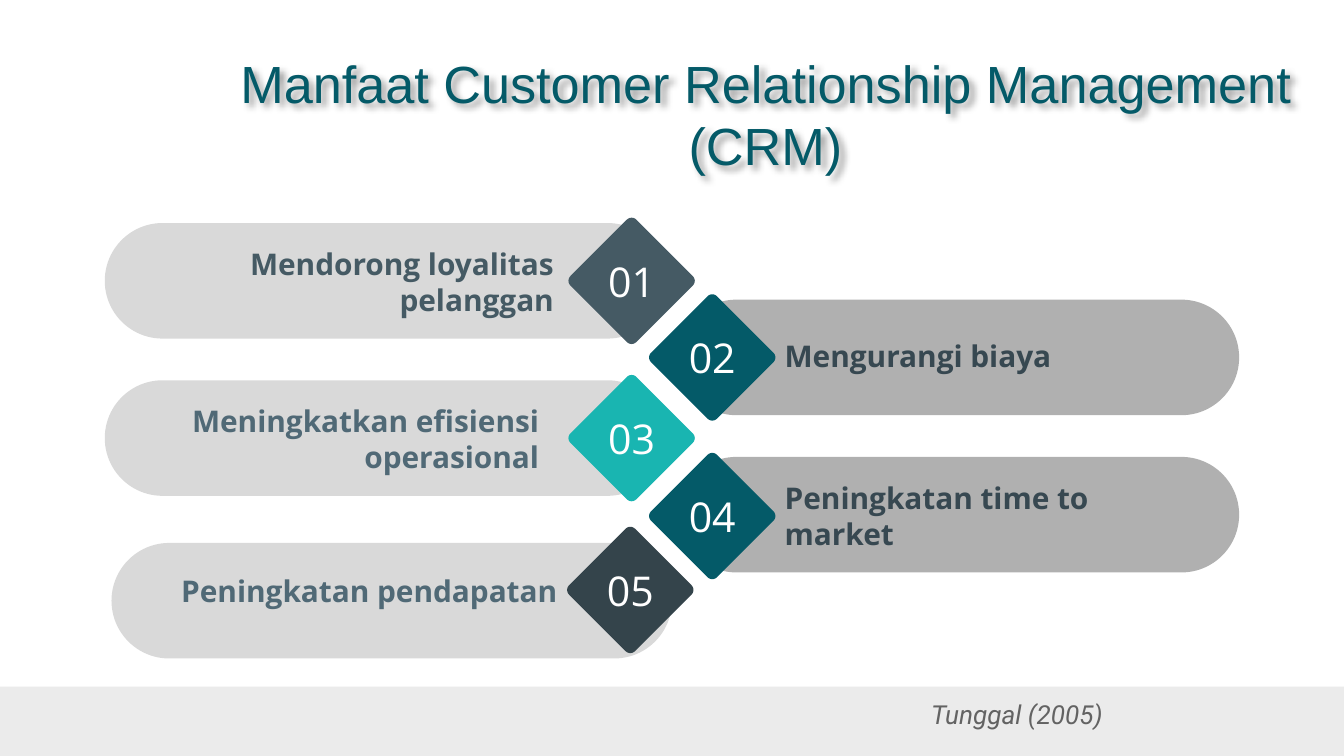
from math import cos, radians, sin

from lxml import etree
from pptx import Presentation
from pptx.dml.color import RGBColor
from pptx.enum.shapes import MSO_SHAPE
from pptx.enum.text import MSO_ANCHOR, MSO_AUTO_SIZE, PP_ALIGN
from pptx.oxml.ns import qn
from pptx.util import Inches, Pt

LEFT, CENTER, RIGHT = PP_ALIGN.LEFT, PP_ALIGN.CENTER, PP_ALIGN.RIGHT
MIDDLE, TOP = MSO_ANCHOR.MIDDLE, MSO_ANCHOR.TOP
NO_AUTOFIT = MSO_AUTO_SIZE.NONE
RECTANGLE, ROUNDED = MSO_SHAPE.RECTANGLE, MSO_SHAPE.ROUNDED_RECTANGLE

TITLE_FORMAT = {"name": "Arial", "size": Pt(28), "bold": False}
LABEL_FORMAT = {"name": "Open Sans", "size": Pt(16), "bold": True}
NUMBER_FORMAT = {"name": "Open Sans", "size": Pt(22), "bold": False}
SOURCE_FORMAT = {"name": "Roboto", "size": Pt(14), "italic": True}

BAR_SIZE = (4.17, 0.86)
LABEL_SIZE = (3.32, 0.27)
CORNER_DISTANCE, CORNER_RADIUS = 0.42, 0.05

BARS = [
    (0.83, 4.04, "D9D9D9"),
    (5.05, 2.23, "B0B0B0"),
    (5.05, 3.4, "B0B0B0"),
    (0.78, 2.83, "D9D9D9"),
    (0.78, 1.66, "D9D9D9"),
]
DIAMONDS = [
    (4.7, 2.09, "455A64"),
    (5.3, 2.66, "045A68"),
    (4.7, 3.26, "19B5B1"),
    (5.3, 3.84, "045A68"),
    (4.69, 4.39, "34444B"),
]
LABELS = [
    (0.9, 1.96, "Mendorong loyalitas pelanggan", RIGHT, "455A64"),
    (5.74, 2.51, "Mengurangi biaya", LEFT, "374851"),
    (0.79, 3.13, "Meningkatkan efisiensi operasional", RIGHT, "506976"),
    (5.74, 3.7, "Peningkatan time to market", LEFT, "374851"),
    (1.25, 4.26, "Peningkatan pendapatan", LEFT, "506976"),
]


def color(value):
    """Return the colour for a hex string."""
    return RGBColor.from_string(value)


def paint(shape, fill):
    """Give a shape a flat fill without line or shadow."""
    shape.shadow.inherit = False
    shape.fill.solid()
    shape.fill.fore_color.rgb = color(fill)
    shape.line.fill.background()


def write(shape, text, font_format, font_color, align, anchor=MIDDLE, margin=0.1):
    """Write one formatted paragraph into a shape."""
    frame = shape.text_frame
    frame_format = {"word_wrap": True, "auto_size": NO_AUTOFIT, "vertical_anchor": anchor}
    frame_format.update({"margin_left": Inches(0.1), "margin_right": Inches(0.1)})
    frame_format.update({"margin_top": Inches(margin), "margin_bottom": Inches(margin)})
    for name, value in frame_format.items():
        setattr(frame, name, value)
    paragraph = frame.paragraphs[0]
    paragraph.alignment = align
    run = paragraph.add_run()
    run.text = text
    for name, value in font_format.items():
        setattr(run.font, name, value)
    run.font.color.rgb = color(font_color)


def add_title(slide, text):
    """Place the title and give it a soft shadow."""
    title = slide.shapes.title
    title.left, title.top, title.width, title.height = map(Inches, (1.39, 0.53, 8.61, 0.63))
    write(title, text, TITLE_FORMAT, "045A68", CENTER)
    effects = etree.SubElement(title.element.spPr, qn("a:effectLst"))
    shadow = etree.SubElement(
        effects, qn("a:outerShdw"), blurRad=str(Pt(4)), dist=str(Pt(3)), dir="2700000", algn="tl"
    )
    black = etree.SubElement(shadow, qn("a:srgbClr"), val="000000")
    etree.SubElement(black, qn("a:alpha"), val="40000")


def add_block(slide, kind, left, top, width, height, fill):
    """Add a flat preset shape."""
    shape = slide.shapes.add_shape(kind, *map(Inches, (left, top, width, height)))
    paint(shape, fill)
    return shape


def add_bar(slide, left, top, fill):
    """Add a bar with fully rounded ends."""
    bar = add_block(slide, ROUNDED, left, top, *BAR_SIZE, fill)
    bar.adjustments[0] = 0.5


def add_diamond(slide, center_x, center_y, fill, number):
    """Add a numbered diamond with rounded corners."""
    points = []
    for corner in range(0, 360, 90):
        for angle in range(corner - 45, corner + 46, 15):
            x, y = (
                CORNER_DISTANCE * wave(radians(corner)) + CORNER_RADIUS * wave(radians(angle))
                for wave in (cos, sin)
            )
            points.append((Inches(center_x + x), Inches(center_y + y)))
    builder = slide.shapes.build_freeform(*points[0])
    builder.add_line_segments(points[1:], close=True)
    diamond = builder.convert_to_shape()
    paint(diamond, fill)
    write(diamond, f"{number:02d}", NUMBER_FORMAT, "FFFFFF", CENTER)


def add_label(slide, left, top, text, align, font_color):
    """Add the label of one benefit."""
    label = slide.shapes.add_textbox(*map(Inches, (left, top, *LABEL_SIZE)))
    write(label, text, LABEL_FORMAT, font_color, align)


def add_source(slide, text):
    """Add the source line over the footer band."""
    source = slide.shapes.add_textbox(*map(Inches, (6.83, 5.15, 3, 0.34)))
    write(source, text, SOURCE_FORMAT, "636363", LEFT, anchor=TOP, margin=0.05)


def main():
    """Build and save the slide."""
    presentation = Presentation()
    presentation.slide_width = Inches(10)
    presentation.slide_height = Inches(10) * 9 // 16
    slide = presentation.slides.add_slide(presentation.slide_layouts[5])
    add_block(slide, RECTANGLE, 0, 5.11, 10, 0.52, "EBEBEB")
    add_title(slide, "Manfaat Customer Relationship Management (CRM)")
    for bar in BARS:
        add_bar(slide, *bar)
    for number, diamond in enumerate(DIAMONDS, start=1):
        add_diamond(slide, *diamond, number)
    for label in LABELS:
        add_label(slide, *label)
    add_source(slide, "Tunggal (2005)")
    presentation.save("out.pptx")


if __name__ == "__main__":
    main()
